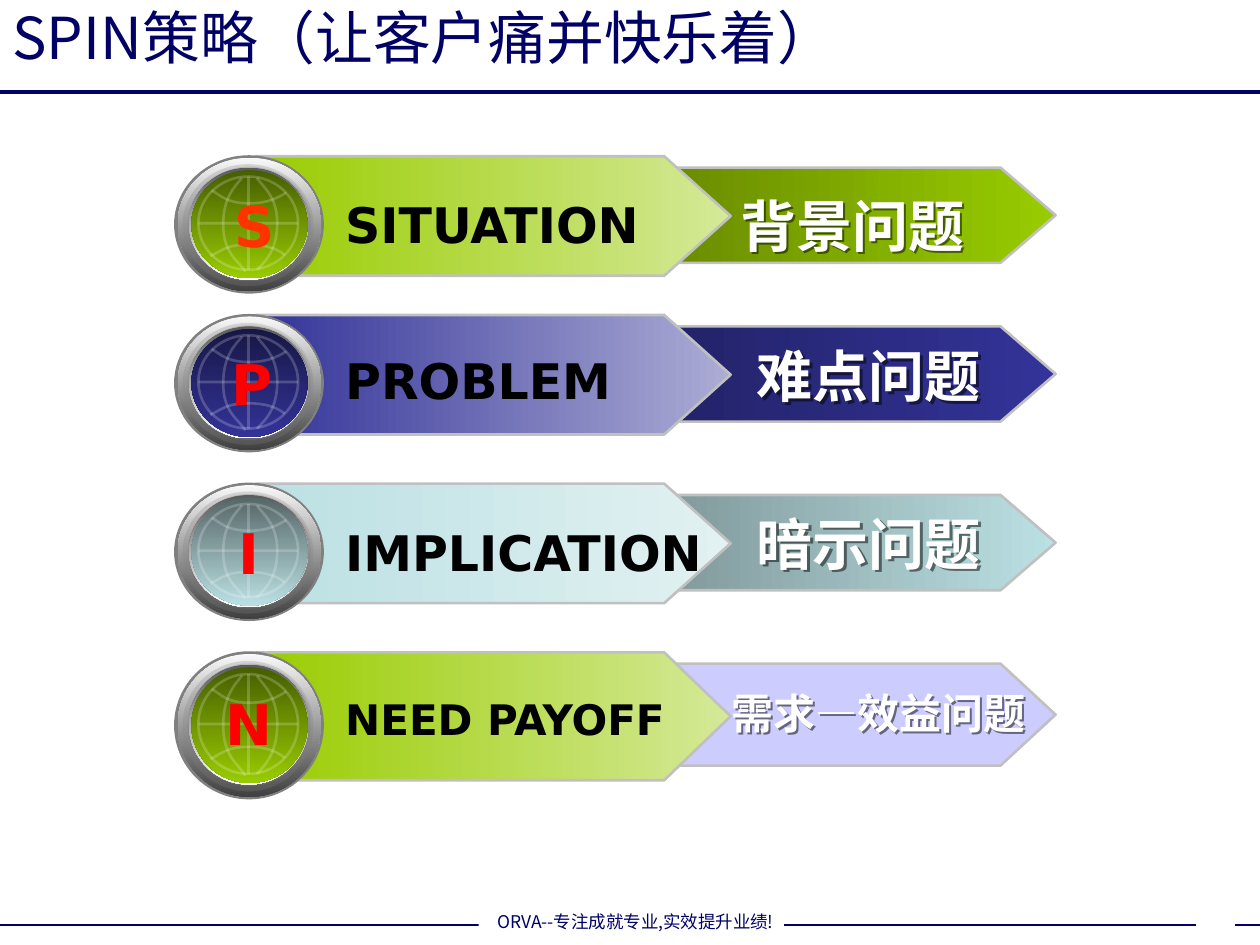
from dataclasses import dataclass

from lxml.etree import SubElement as Sub
from pptx import Presentation
from pptx.dml.color import RGBColor as Rgb
from pptx.enum.shapes import MSO_CONNECTOR as Link, MSO_SHAPE as Shape
from pptx.enum.text import MSO_ANCHOR as Anchor, MSO_AUTO_SIZE as Fit, PP_ALIGN as Align
from pptx.oxml.ns import qn
from pptx.util import Cm, Pt

SANS = "DejaVu Sans"
HAN = "Noto Sans CJK SC"
NAVY = "000066"
GLOBE = 20
ACROSS, DOWN = 0, 270


@dataclass
class Note:
    text: str
    left: float
    top: float
    width: float
    size: int
    color: str
    align: Align = Align.LEFT
    space: float = 1
    inset: float = 0.25
    wrap: bool = True
    shadow: bool = False


@dataclass
class Row:
    top: float
    front: tuple[str, ...]
    back: tuple[str, ...]
    lens: tuple[str, ...]
    notes: list[Note]
    scale: float = 1


@dataclass
class Disc:
    left: float
    top: float
    width: float
    height: float
    fill: tuple[str, ...]
    alpha: int = 100


RINGS = [
    Disc(3.51, 0, 3.02, 2.79, ("808080",)),
    Disc(3.58, 0.05, 2.9, 2.69, ("F8F8F8", "404040")),
    Disc(3.68, 0.18, 2.64, 2.46, ("808080",), 25),
    Disc(3.78, 0.23, 2.49, 2.31, ("808080",), 30),
    Disc(3.81, 0.25, 2.41, 2.26, ("5B5B5B", "FFFFFF")),
]
ARCS = [
    [(5.18, 0.46), (5.31, 0.64), (5.59, 0.84), (5.59, 1.37),
     (5.59, 1.93), (5.33, 2.16), (5.18, 2.31)],
    [(4.88, 0.46), (4.75, 0.61), (4.5, 0.84), (4.5, 1.4),
     (4.5, 1.96), (4.78, 2.11), (4.95, 2.34)],
    [(5.74, 2.01), (5.64, 1.93), (5.44, 1.8), (5, 1.8),
     (4.55, 1.8), (4.42, 1.96), (4.24, 2.03)],
    [(5.77, 0.76), (5.66, 0.81), (5.46, 0.97), (5.03, 0.97),
     (4.57, 0.97), (4.45, 0.81), (4.27, 0.71)],
]
LIME = ("99CC00", "D5E998")
MOSS = ("465E00", "99CC00")


def mark(text: str, left: float, top: float, width: float,
         color: str = "FF0000", wrap: bool = False) -> Note:
    return Note(text, left, top, width, 32, color, Align.CENTER, wrap=wrap)


def label(text: str, top: float, width: float = 8.2, size: int = 28) -> Note:
    return Note(text, 6.71, top, width, size, "000000")


def topic(text: str, left: float, top: float, width: float = 6.38, size: int = 32,
          align: Align = Align.CENTER, space: float = 1, inset: float = 0.25) -> Note:
    return Note(text, left, top, width, size, "FFFFFF", align, space, inset,
                shadow=True)


ROWS = [
    Row(3.13, LIME, ("6A8D00", "99CC00"), MOSS,
        [mark("S", 4.47, 3.73, 1.12, "FF3300"), label("SITUATION", 3.8),
         topic("背景问题", 13.89, 3.12, align=Align.LEFT, space=1.45, inset=1.04)]),
    Row(6.33, ("333399", "ACACD5"), ("23236A", "333399"), ("171746", "333399"),
        [mark("P", 4.42, 6.93, 1.22), label("PROBLEM", 6.94),
         topic("难点问题", 14.33, 6.77)]),
    Row(9.73, ("BBE0E3", "E2F1F2"), ("829B9D", "BBE0E3"), ("566768", "BBE0E3"),
        [mark("I", 4.55, 10.33, 0.94), label("IMPLICATION", 10.41, 9.4),
         topic("暗示问题", 14.33, 9.53, space=1.45)]),
    Row(13.13, LIME, ("CCCCFF",), MOSS,
        [mark("N", 4.29, 13.77, 1.47, wrap=True),
         label("NEED PAYOFF", 13.85, size=24),
         topic("需求—效益问题", 14.3, 13.73, 6.78, 24, Align.LEFT, inset=0.45)], 1.07),
]


def tint(code: str) -> Rgb:
    return Rgb.from_string(code)


def fade(node, alpha: int) -> None:
    for color in node.iter(qn("a:srgbClr")):
        Sub(color, qn("a:alpha"), val=str(alpha * 1000))


def paint(shape, colors: tuple[str, ...], angle: int = ACROSS) -> None:
    shape.shadow.inherit = False
    if len(colors) == 1:
        shape.fill.solid()
        shape.fill.fore_color.rgb = tint(colors[0])
        return
    shape.fill.gradient()
    shape.fill.gradient_angle = angle
    for stop, code in zip(shape.fill.gradient_stops, colors):
        stop.color.rgb = tint(code)


def edge(shape, color: str, width: float, alpha: int = 100) -> None:
    shape.line.color.rgb = tint(color)
    shape.line.width = Pt(width)
    if alpha < 100:
        fade(shape.element.spPr, alpha)


def rule(slide, start: tuple, end: tuple, color: str, width: float,
         alpha: int = 100) -> None:
    ends = [Cm(n) for n in (*start, *end)]
    line = slide.shapes.add_connector(Link.STRAIGHT, *ends)
    edge(line, color, width, alpha)
    Sub(line.element.spPr, qn("a:effectLst"))


def trace(slide, points: list[tuple], close: bool):
    spots = [(Cm(x), Cm(y)) for x, y in points]
    pen = slide.shapes.build_freeform(*spots[0], scale=1.0)
    pen.add_line_segments(spots[1:], close=close)
    return pen.convert_to_shape()


def bend(shape) -> None:
    route = next(shape.element.iter(qn("a:path")))
    legs = route.findall(qn("a:lnTo"))
    for at in range(0, len(legs), 3):
        cubic = Sub(route, qn("a:cubicBezTo"))
        for leg in legs[at:at + 3]:
            cubic.append(leg[0])
            route.remove(leg)


def arrow(slide, left: float, neck: float, tip: float, top: float,
          height: float, fill: tuple[str, ...], notch: float = 0) -> None:
    mid, base = top + height / 2, top + height
    points = [(left, top), (neck, top), (tip, mid), (neck, base), (left, base)]
    if notch:
        points.append((left + notch, mid))
    shape = trace(slide, points, True)
    paint(shape, fill)
    edge(shape, "C0C0C0", 1.5)


def oval(slide, disc: Disc, top: float, scale: float):
    box = (disc.left, top + disc.top * scale, disc.width, disc.height * scale)
    shape = slide.shapes.add_shape(Shape.OVAL, *[Cm(n) for n in box])
    paint(shape, disc.fill, DOWN)
    shape.line.fill.background()
    if disc.alpha < 100:
        fade(shape.element.spPr, disc.alpha)
    return shape


def globe(slide, top: float, scale: float) -> None:
    ring = oval(slide, Disc(4, 0.43, 2.01, 1.88, ("FFFFFF",)), top, scale)
    ring.fill.background()
    edge(ring, "FFFFFF", 1.5, GLOBE)
    for start, end in [((5.01, 0.43), (5.01, 2.31)), ((4, 1.37), (6.01, 1.37))]:
        ends = [(x, top + y * scale) for x, y in (start, end)]
        rule(slide, *ends, "FFFFFF", 1.5, GLOBE)
    for arc in ARCS:
        shape = trace(slide, [(x, top + y * scale) for x, y in arc], False)
        bend(shape)
        shape.shadow.inherit = False
        shape.fill.background()
        edge(shape, "FFFFFF", 1.5, GLOBE)


def style(frame, size: int, color: str, face: str, bold: bool, align: Align) -> None:
    para = frame.paragraphs[0]
    para.alignment = align
    for run in para.runs:
        font = run.font
        font.size, font.bold, font.name = Pt(size), bold, face
        font.color.rgb = tint(color)
        Sub(font._element, qn("a:ea"), typeface=HAN)


def shade(box) -> None:
    props = box.element.spPr
    cast = Sub(Sub(props, qn("a:effectLst")), qn("a:outerShdw"),
               dist="22000", dir="2700000", algn="ctr", rotWithShape="0")
    Sub(cast, qn("a:srgbClr"), val="000000")
    fade(cast, 50)


def write(slide, note: Note) -> None:
    area = (note.left, note.top, note.width, note.size * 0.051 * note.space)
    box = slide.shapes.add_textbox(*[Cm(n) for n in area])
    frame = box.text_frame
    frame.word_wrap, frame.auto_size = note.wrap, Fit.SHAPE_TO_FIT_TEXT
    frame.margin_left = Cm(note.inset)
    frame.text = note.text
    style(frame, note.size, note.color, SANS, True, note.align)
    if note.space != 1:
        frame.paragraphs[0].line_spacing = note.space
    if note.shadow:
        shade(box)


def draw(slide, row: Row) -> None:
    top, scale = row.top, row.scale
    arrow(slide, 13.59, 20.17, 21.28, top + 0.25, 1.92 * scale, row.back, 1.09)
    arrow(slide, 5.16, 13.39, 14.73, top + 0.02, 2.41 * scale, row.front)
    for disc in [*RINGS, Disc(3.86, 0.3, 2.34, 2.18, row.lens)]:
        oval(slide, disc, top, scale)
    globe(slide, top, scale)
    for note in row.notes:
        write(slide, note)


def head(slide) -> None:
    title = slide.shapes.title
    title.left, title.top, title.width, title.height = map(Cm, (0, 0, 24.1, 1.45))
    title.text_frame.text = "SPIN策略（让客户痛并快乐着）"
    title.text_frame.vertical_anchor = Anchor.MIDDLE
    style(title.text_frame, 33, NAVY, HAN, False, Align.LEFT)
    rule(slide, (0, 1.85), (25.4, 1.85), NAVY, 2.25)


def foot(slide) -> None:
    rule(slide, (0, 18.64), (9.91, 18.64), NAVY, 1)
    area = [Cm(n) for n in (9.65, 18.24, 6.32, 0.69)]
    box = slide.shapes.add_shape(Shape.RECTANGLE, *area)
    paint(box, ("FFFFFF",))
    box.line.fill.background()
    frame = box.text_frame
    frame.text = "ORVA--专注成就专业,实效提升业绩!"
    frame.word_wrap = False
    frame.vertical_anchor = Anchor.MIDDLE
    style(frame, 10, NAVY, HAN, False, Align.CENTER)
    for start, end in [(15.8, 24.1), (24.89, 25.4)]:
        rule(slide, (start, 18.64), (end, 18.64), NAVY, 1)


def main() -> None:
    deck = Presentation()
    deck.slide_width, deck.slide_height = Cm(25.4), Cm(19.05)
    slide = deck.slides.add_slide(deck.slide_layouts[5])
    head(slide)
    foot(slide)
    for row in ROWS:
        draw(slide, row)
    deck.save("out.pptx")


if __name__ == "__main__":
    main()
